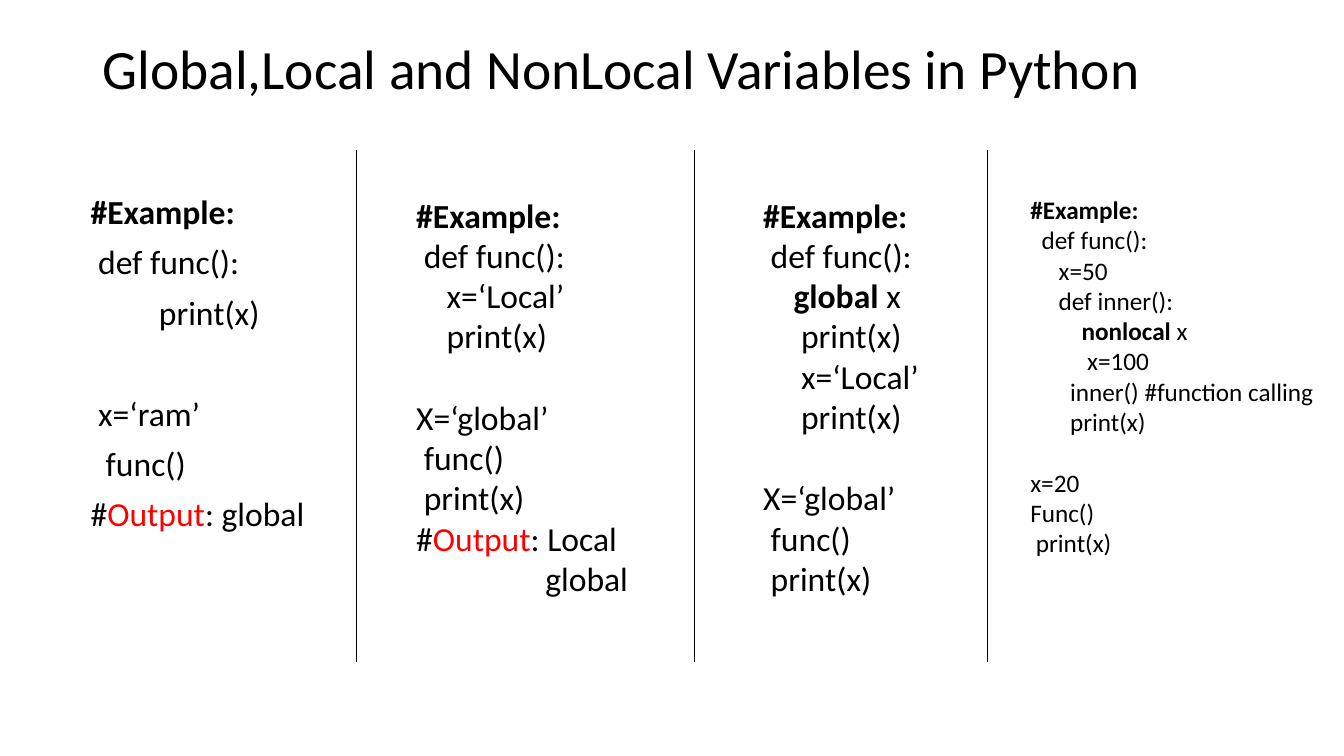
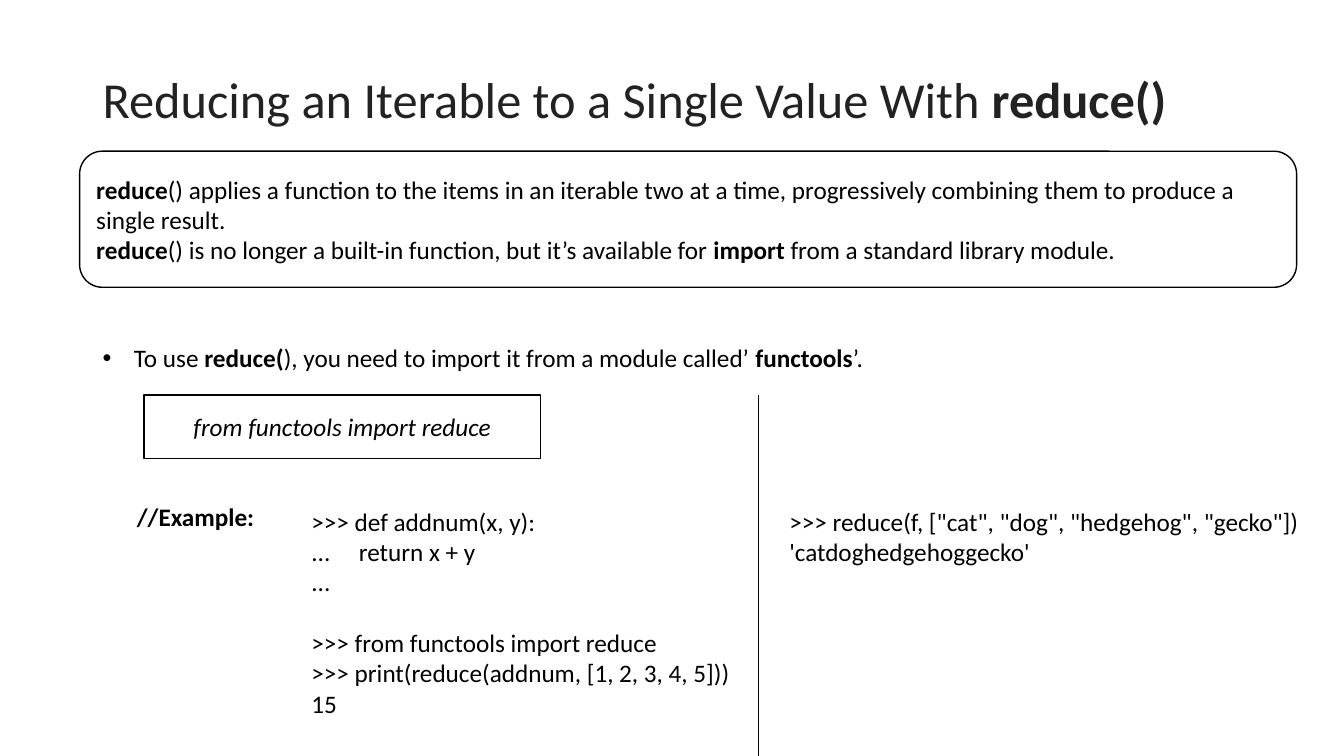
from pptx import Presentation
from pptx.dml.color import RGBColor
from pptx.enum.shapes import MSO_CONNECTOR, MSO_SHAPE
from pptx.enum.text import MSO_ANCHOR, PP_ALIGN
from pptx.oxml.ns import qn
from pptx.util import Inches, Pt
from lxml.etree import SubElement

# Shared look
BLACK = RGBColor(0, 0, 0)
WHITE = RGBColor(255, 255, 255)
RED = RGBColor(255, 0, 0)
GREY = RGBColor(0x22, 0x22, 0x22)
FACE = "Calibri"
LEFT = 0.92
RULE = 0.5

deck = Presentation()
deck.slide_width, deck.slide_height = Inches(13.33), Inches(7.5)
blank = deck.slide_layouts[6]


def add_text(slide, at, lines, size=18, color=BLACK, form=None, shape=None,
             anchor=MSO_ANCHOR.TOP, align=PP_ALIGN.LEFT, pitch=1.0, gap=0):
    """Stars mark bold words, Output is red, an empty line opens a gap."""
    place = [Inches(v) for v in at]
    if shape is None:
        box = slide.shapes.add_textbox(*place)
    else:
        box = slide.shapes.add_shape(shape, *place)
        box.shadow.inherit = False
        box.fill.solid()
        box.fill.fore_color.rgb = WHITE
        box.line.color.rgb = BLACK
        box.line.width = Pt(1)
    frame = box.text_frame
    frame.word_wrap = True
    frame.vertical_anchor = anchor
    para, skip = None, 0
    for line in lines:
        if not line:
            skip = size * 1.22 * pitch + gap
            continue
        first = para is None
        para = frame.paragraphs[0] if first else frame.add_paragraph()
        para.alignment = align
        para.line_spacing = pitch
        para.space_before = Pt(0 if first else round(gap + skip, 1))
        skip = 0
        for i, part in enumerate(line.split("*")):
            if not part:
                continue
            run = para.add_run()
            run.text = part
            hot = part == "Output"
            style = {"name": FACE, "size": Pt(size),
                     "bold": i % 2 == 1 and not hot, **(form or {})}
            for key, value in style.items():
                setattr(run.font, key, value)
            run.font.color.rgb = RED if hot else color
    return frame


def add_rule(slide, x, top, end):
    line = slide.shapes.add_connector(
        MSO_CONNECTOR.STRAIGHT, Inches(x), Inches(top), Inches(x), Inches(end))
    line.line.color.rgb = BLACK
    line.line.width = Pt(RULE)
    SubElement(line._element.spPr, qn("a:effectLst"))


# Slide 1: variable scopes
scope = deck.slides.add_slide(blank)
add_text(scope, (LEFT, 0.4, 11.5, 0.61),
         ["Global,Local and NonLocal Variables in Python"],
         size=39.6, anchor=MSO_ANCHOR.MIDDLE, pitch=0.9)

add_text(scope, (0.8, 1.89, 2.54, 4.76), [
    "*#Example:*",
    " def func():",
    "         print(x)",
    "",
    " x=‘ram’",
    "  func()",
    "#*Output*: global",
], size=24, pitch=0.9, gap=10)

local = add_text(scope, (4.03, 1.88, 2.91, 4.14), [
    "*#Example:*",
    " def func():",
    "    x=‘Local’",
    "    print(x)",
    "",
    "X=‘global’",
    " func()",
    " print(x)",
    "#*Output*: Local",
    "global",
], size=24)
# Second output value lines up under the first
local.paragraphs[-1]._p.get_or_add_pPr().set("marL", str(Inches(1.28)))

add_text(scope, (7.47, 1.88, 2.58, 4.14), [
    "*#Example:*",
    " def func():",
    "    *global* x",
    "     print(x)",
    "     x=‘Local’",
    "     print(x)",
    "",
    "X=‘global’",
    " func()",
    " print(x)",
], size=24)

add_text(scope, (10.12, 1.88, 3.21, 3.74), [
    "*#Example:*",
    "  def func():",
    "     x=50",
    "     def inner():",
    "         *nonlocal* x",
    "          x=100",
    "       inner() #function calling",
    "       print(x)",
    "",
    "x=20",
    "Func()",
    " print(x)",
])

for x in (3.53, 6.89, 9.79):
    add_rule(scope, x, 1.49, 6.57)

# Slide 2: reduce()
fold = deck.slides.add_slide(blank)
add_text(fold, (LEFT, 0.67, 11.02, 0.61),
         ["Reducing an Iterable to a Single Value With *reduce()*"],
         size=36, color=GREY, anchor=MSO_ANCHOR.MIDDLE)

add_text(fold, (0.79, 1.5, 12.07, 1.35), [
    "*reduce*() applies a function to the items in an iterable two at a time, "
    "progressively combining them to produce a single result.",
    "*reduce*() is no longer a built-in function, but it’s available for "
    "*import* from a standard library module.",
], shape=MSO_SHAPE.ROUNDED_RECTANGLE, anchor=MSO_ANCHOR.MIDDLE)

# Bullet and import line
note = add_text(fold, (LEFT, 3.35, 7.82, 0.4), [
    "To use *reduce(*), you need to import it from a module called’ "
    "*functools*’."])
props = note.paragraphs[0]._p.get_or_add_pPr()
props.set("marL", str(Inches(0.31)))
props.set("indent", str(Inches(-0.31)))
SubElement(props, qn("a:buFont")).set("typeface", "Arial")
SubElement(props, qn("a:buChar")).set("char", "•")

add_text(fold, (1.43, 3.92, 3.93, 0.63), ["from functools import reduce"],
         form={"italic": True}, shape=MSO_SHAPE.RECTANGLE,
         anchor=MSO_ANCHOR.MIDDLE, align=PP_ALIGN.CENTER)

# Example code
add_text(fold, (1.26, 4.92, 1.6, 0.4), ["*//Example:*"])
add_text(fold, (2.99, 4.97, 4.54, 2.22), [
    ">>> def addnum(x, y):",
    "...     return x + y",
    "...",
    "",
    ">>> from functools import reduce",
    ">>> print(reduce(addnum, [1, 2, 3, 4, 5]))",
    "15",
])
add_rule(fold, 7.52, 3.92, 7.5)
add_text(fold, (7.73, 4.97, 5.52, 0.71), [
    '>>> reduce(f, ["cat", "dog", "hedgehog", "gecko"])',
    "'catdoghedgehoggecko'",
])

deck.save("out.pptx")
